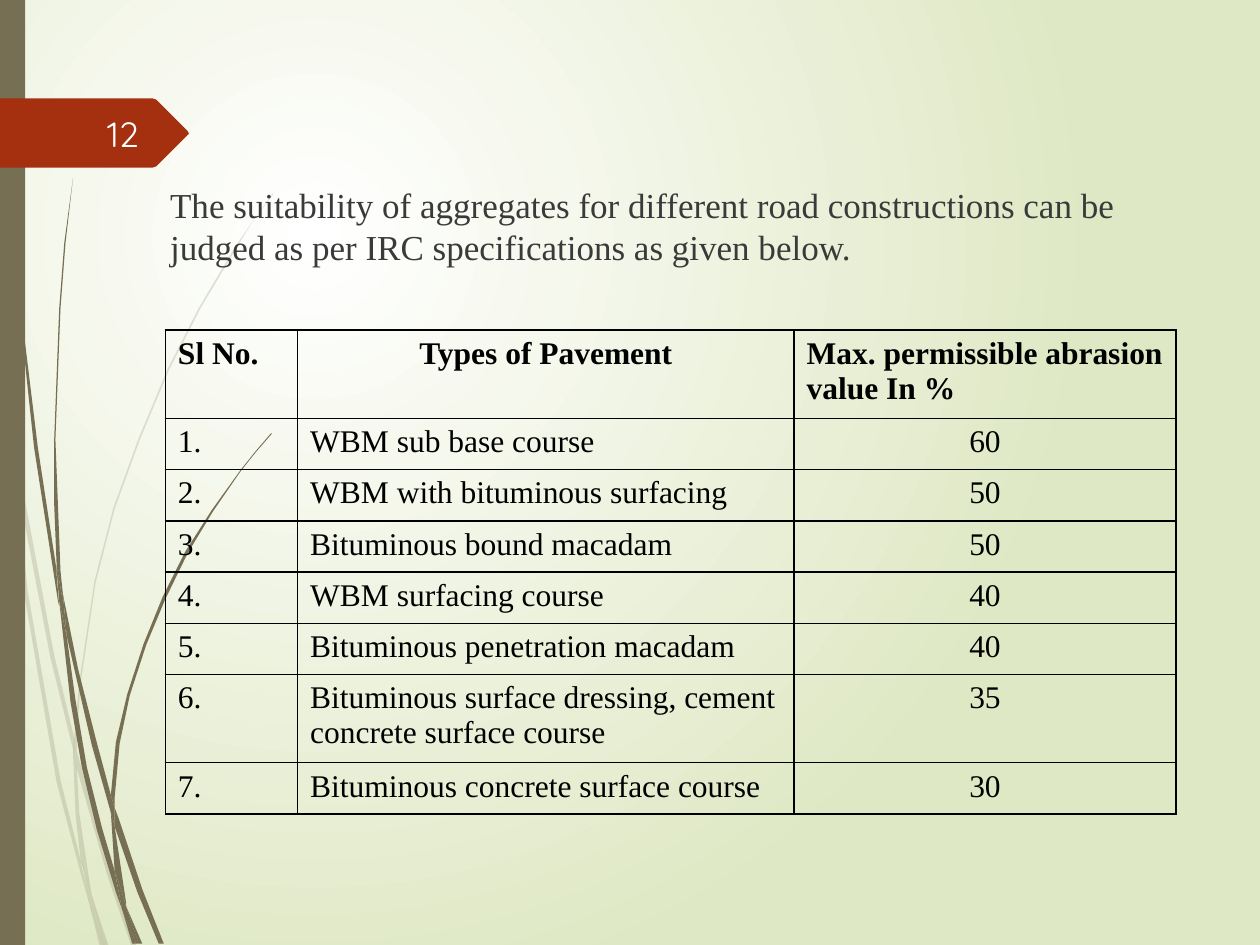
from lxml import etree
from pptx import Presentation
from pptx.dml.color import RGBColor
from pptx.enum.text import MSO_ANCHOR as Anchor, PP_ALIGN as Align
from pptx.enum.shapes import MSO_SHAPE as Shape
from pptx.oxml.ns import qn
from pptx.util import Pt

COLORS = {"glow": "FFFFFF", "field": "DFE8C4", "stalk": "766F54", "badge": "A53010",
          "ink": "000000", "body": "3A3A3A", "number": "FEFFFF"}
SERIF = "Times New Roman"
GRID = Pt(0.72)

PALE_BLADES = [
    "8,350 6,322 0,282 0,299 7,344",
    "40,522 59,599 59,586 43,520 10,345 12,376",
    "64,607 61,596 61,610 85,694 104,750 108,750 88,692",
    "83,750 86,750 73,711",
    "64,683 48,619 22,469 12,376 8,350 19,470 45,621 64,693 70,714 69,707",
    "58,599 60,646 64,683 67,692 73,711 72,706 63,646 61,610 61,608",
    "61,584 64,542 76,462 91,404 111,349 134,294 159,245 187,198 201,175 217,154 217,153 "
    "201,175 186,197 158,244 133,293 110,348 90,403 75,461 63,541 59,584 59,586 61,596",
    "70,714 79,750 82,750",
    "61,608 61,610 61,596 59,586 58,599",
    "67,692 65,683 69,707 70,714 82,750 83,750 73,711",
]
DARK_BLADES = [
    "5,110 14,233 27,355 46,477 47,481 45,457 45,453 30,355 15,232 6,109 4,48 3,0 2,0 3,48",
    "73,592 88,645 88,633 88,631 77,590 62,531 50,472 53,505",
    "94,649 91,641 91,656 109,708 126,749 130,749 113,706",
    "91,691 81,657 69,609 60,556 53,505 47,477 56,557 65,609 77,659 92,708 97,722 96,717",
    "50,472 48,453 44,349 48,245 52,193 58,141 51,193 47,245 43,349 43,400 45,449 49,472",
    "110,749 113,749 100,719",
    "47,477 53,505 50,472 49,472 45,449 45,453",
    "91,633 95,590 103,552 116,512 131,476 149,439 169,406 191,374 203,359 216,344 215,344 "
    "203,358 191,373 168,405 147,438 129,474 114,511 101,551 92,589 88,631 91,641",
    "97,722 105,749 108,749",
    "88,645 91,691 96,706 100,719 100,716 91,656 90,651",
    "88,645 90,651 91,656 91,641 88,631 88,633",
    "96,706 91,691 96,717 97,722 108,749 110,749 100,719",
]
BADGE = "0,0 121,0 124,1 149,26 149.5,27.5 149,29 124,54 121,55 0,55"

ROWS = [
    ("Sl No.", "Types of Pavement", "Max. permissible abrasion value In %"),
    ("1.", "WBM sub base course", "60"),
    ("2.", "WBM with bituminous surfacing", "50"),
    ("3.", "Bituminous bound macadam", "50"),
    ("4.", "WBM surfacing course", "40"),
    ("5.", "Bituminous penetration macadam", "40"),
    ("6.", "Bituminous surface dressing, cement concrete surface course", "35"),
    ("7.", "Bituminous concrete surface course", "30"),
]
COLUMN_WIDTHS = (75.6, 283.7, 218.2)
TALL_ROWS = (0, 6)


def rgb(name):
    return RGBColor.from_string(COLORS[name])


def style_run(para, size, font, color, bold=False):
    for span in para.runs:
        span.font.size = Pt(size)
        span.font.name = font
        span.font.color.rgb = rgb(color)
        span.font.bold = bold


def paint(shape, color, alpha=None):
    shape.shadow.inherit = False
    shape.fill.solid()
    shape.fill.fore_color.rgb = rgb(color)
    shape.line.fill.background()
    if alpha:
        tone = shape.element.spPr.find(qn("a:solidFill"))[0]
        etree.SubElement(tone, qn("a:alpha")).set("val", str(alpha * 1000))


def add_outline(shapes, outline, left, top, color, alpha=None):
    points = [tuple(map(float, pair.split(","))) for pair in outline.split()]
    builder = shapes.build_freeform(*points[0], scale=GRID)
    builder.add_line_segments(points[1:], close=True)
    paint(builder.convert_to_shape(Pt(left), Pt(top)), color, alpha)


def add_background(page):
    fill = page.background.fill
    fill.gradient()
    for stop, name in zip(fill.gradient_stops, ("glow", "field")):
        stop.color.rgb = rgb(name)
    gradient = page.element.find(".//" + qn("a:gradFill"))
    gradient.remove(gradient.find(qn("a:lin")))
    path = etree.SubElement(gradient, qn("a:path"), {"path": "circle"})
    etree.SubElement(path, qn("a:fillToRect"),
                     {"l": "50000", "t": "50000", "r": "100000", "b": "100000"})


def add_grass(page, left, top, height):
    for blades, alpha in ((PALE_BLADES, 20), (DARK_BLADES, None)):
        group = page.shapes.add_group_shape()
        for blade in blades:
            add_outline(group.shapes, blade, left, top, "stalk", alpha)
    bar = page.shapes.add_shape(Shape.RECTANGLE, Pt(left), Pt(top), Pt(14.4), Pt(height))
    paint(bar, "stalk")


def add_badge(page, left, top, number):
    add_outline(page.shapes, BADGE, left, top, "badge")
    box = page.shapes.add_textbox(Pt(left + 40.3), Pt(top + 5.8), Pt(46.1), Pt(28.8))
    frame = box.text_frame
    frame.word_wrap = True
    frame.vertical_anchor = Anchor.MIDDLE
    frame.text = number
    frame.paragraphs[0].alignment = Align.RIGHT
    style_run(frame.paragraphs[0], 20, "Quicksand", "number")


def add_intro(page, left, top, width, height):
    page.shapes.title.element.getparent().remove(page.shapes.title.element)
    box = page.placeholders[1]
    page.shapes.element.append(box.element)
    box.left, box.top, box.width, box.height = Pt(left), Pt(top), Pt(width), Pt(height)
    box.text_frame.text = ("The suitability of aggregates for different road constructions "
                           "can be judged as per IRC specifications as given below.")
    para = box.text_frame.paragraphs[0]
    para.space_before = Pt(0)
    layout = para._p.get_or_add_pPr()
    layout.set("marL", "0")
    layout.set("indent", "0")
    etree.SubElement(layout, qn("a:buNone"))
    style_run(para, 20, SERIF, "body")


def add_borders(cell):
    props = cell._tc.get_or_add_tcPr()
    for index, side in enumerate(("lnL", "lnR", "lnT", "lnB")):
        line = etree.Element(qn("a:" + side), {"w": str(Pt(1))})
        fill = etree.SubElement(line, qn("a:solidFill"))
        etree.SubElement(fill, qn("a:srgbClr"), {"val": COLORS["ink"]})
        props.insert(index, line)


def add_pavement_table(page, left, top):
    heights = [50.4 if row in TALL_ROWS else 29.3 for row in range(len(ROWS))]
    table = page.shapes.add_table(len(ROWS), len(COLUMN_WIDTHS), Pt(left), Pt(top),
                                  Pt(sum(COLUMN_WIDTHS)), Pt(sum(heights))).table
    table.first_row = table.horz_banding = False
    for column, width in zip(table.columns, COLUMN_WIDTHS):
        column.width = Pt(width)
    for row, height in zip(table.rows, heights):
        row.height = Pt(height)
    for i, values in enumerate(ROWS):
        for j, value in enumerate(values):
            cell = table.cell(i, j)
            cell.text_frame.text = value
            cell.fill.background()
            add_borders(cell)
            para = cell.text_frame.paragraphs[0]
            centred = j == (1 if i == 0 else 2)
            para.alignment = Align.CENTER if centred else Align.LEFT
            style_run(para, 18, SERIF, "ink", bold=i == 0)


def main():
    deck = Presentation()
    deck.slide_width, deck.slide_height = Pt(720), Pt(540)
    page = deck.slides.add_slide(deck.slide_layouts[1])
    add_background(page)
    add_grass(page, 0, 0, 540)
    add_badge(page, 0, 56.2, "12")
    add_pavement_table(page, 94.5, 188.6)
    add_intro(page, 90, 101.5, 577.4, 55.4)
    deck.save("out.pptx")


if __name__ == "__main__":
    main()
